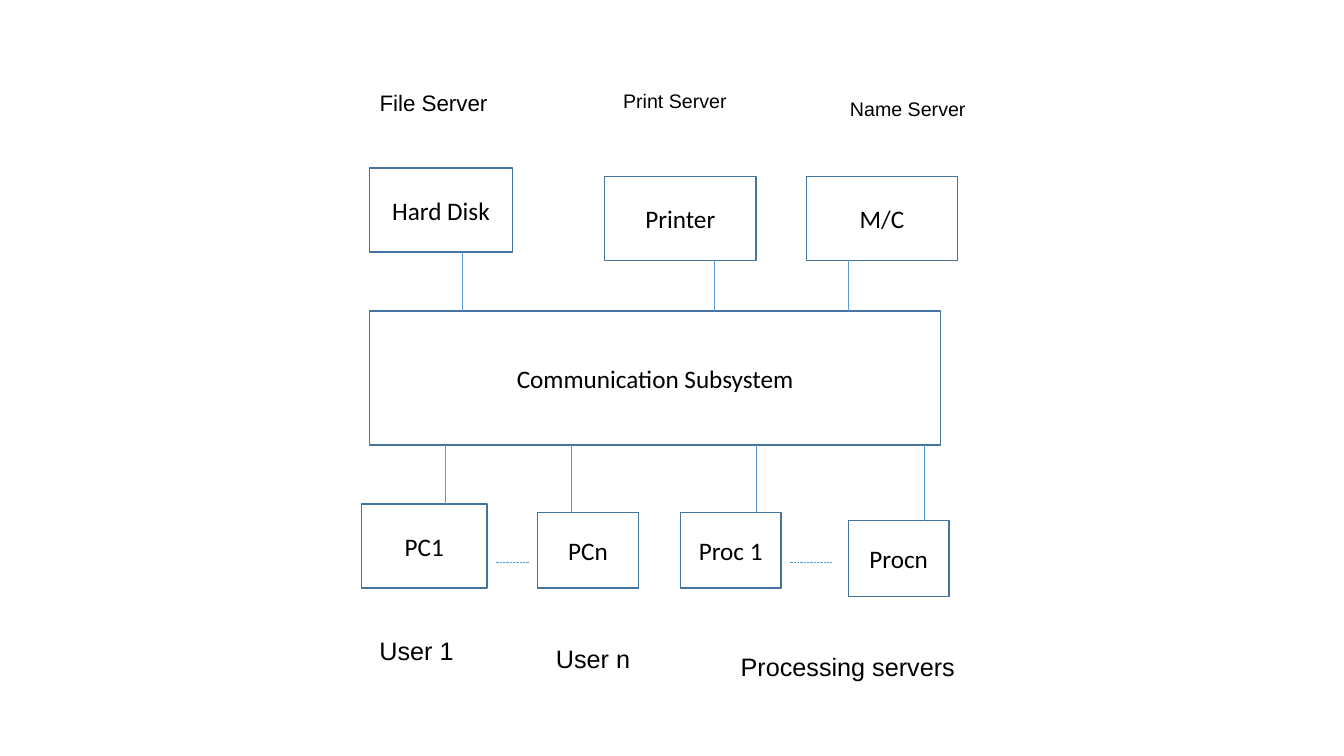
from pptx import Presentation
from pptx.dml.color import RGBColor
from pptx.enum.dml import MSO_LINE
from pptx.enum.shapes import MSO_CONNECTOR, MSO_SHAPE
from pptx.enum.text import MSO_ANCHOR, MSO_AUTO_SIZE, PP_ALIGN
from pptx.oxml.ns import qn
from pptx.util import Emu, Pt
from lxml.etree import SubElement

BLACK = "000000"
BOX_LINE = "43739E"
LINK_LINE = "5B9BD5"
BUS_TOP, BUS_BOTTOM = 296, 424

BOXES = [
    ("Communication Subsystem", 352, BUS_TOP, 544, BUS_BOTTOM - BUS_TOP),
    ("Hard Disk", 352, 160, 136, 80),
    ("Printer", 576, 168, 144, 80),
    ("M/C", 768, 168, 144, 80),
    ("PC1", 344, 480, 120, 80),
    ("PCn", 512, 488, 96, 72),
    ("Proc 1", 648, 488, 96, 72),
    ("Procn", 808, 496, 96, 72),
]
SERVER_LINKS = [(440, 240), (680, 248), (808, 248)]
NODE_LINKS = [(424, 480), (544, 488), (720, 488), (880, 496)]
ELLIPSES = [(472, 504), (752, 792)]
LABELS = [
    ("File Server", 352, 80, 128, 36, 16),
    ("Print Server", 584, 80, 120, 33, 14),
    ("Name Server", 800, 88, 160, 33, 14),
    ("User 1", 352, 600, 96, 40, 18),
    ("User n", 520, 608, 104, 38, 18),
    ("Processing servers", 696, 616, 232, 38, 18),
]


def px(n):
    return Emu(n * 9525)


def rgb(color):
    return RGBColor.from_string(color)


def set_text(tf, text, font, size):
    tf.word_wrap = True
    p = tf.paragraphs[0]
    p.text = text
    p.font.name = font
    p.font.size = Pt(size)
    p.font.color.rgb = rgb(BLACK)
    return p


def add_box(s, text, x, y, w, h):
    sp = s.shapes.add_shape(MSO_SHAPE.RECTANGLE, px(x), px(y), px(w), px(h))
    sp.shadow.inherit = False
    sp.fill.background()
    sp.line.color.rgb = rgb(BOX_LINE)
    sp.line.width = Pt(1)
    sp.text_frame.vertical_anchor = MSO_ANCHOR.MIDDLE
    p = set_text(sp.text_frame, text, "Calibri", 18)
    p.alignment = PP_ALIGN.CENTER


def add_link(s, x1, y1, x2, y2, dash=None):
    cn = s.shapes.add_connector(
        MSO_CONNECTOR.STRAIGHT, px(x1), px(y1), px(x2), px(y2))
    cn.line.color.rgb = rgb(LINK_LINE)
    cn.line.width = Pt(0.5)
    if dash:
        cn.line.dash_style = dash
    SubElement(cn._element.spPr, qn("a:effectLst"))


def add_label(s, text, x, y, w, h, size):
    tf = s.shapes.add_textbox(px(x), px(y), px(w), px(h)).text_frame
    set_text(tf, text, "Arial", size)
    tf.auto_size = MSO_AUTO_SIZE.SHAPE_TO_FIT_TEXT


def main():
    prs = Presentation()
    prs.slide_width, prs.slide_height = px(1280), px(720)
    s = prs.slides.add_slide(prs.slide_layouts[6])
    for box in BOXES:
        add_box(s, *box)
    for x, y in SERVER_LINKS:
        add_link(s, x, y, x, BUS_TOP)
    for x, y in NODE_LINKS:
        add_link(s, x, y, x, BUS_BOTTOM)
    for left, right in ELLIPSES:
        add_link(s, left, 536, right, 536, MSO_LINE.ROUND_DOT)
    for label in LABELS:
        add_label(s, *label)
    prs.save("out.pptx")


if __name__ == "__main__":
    main()
